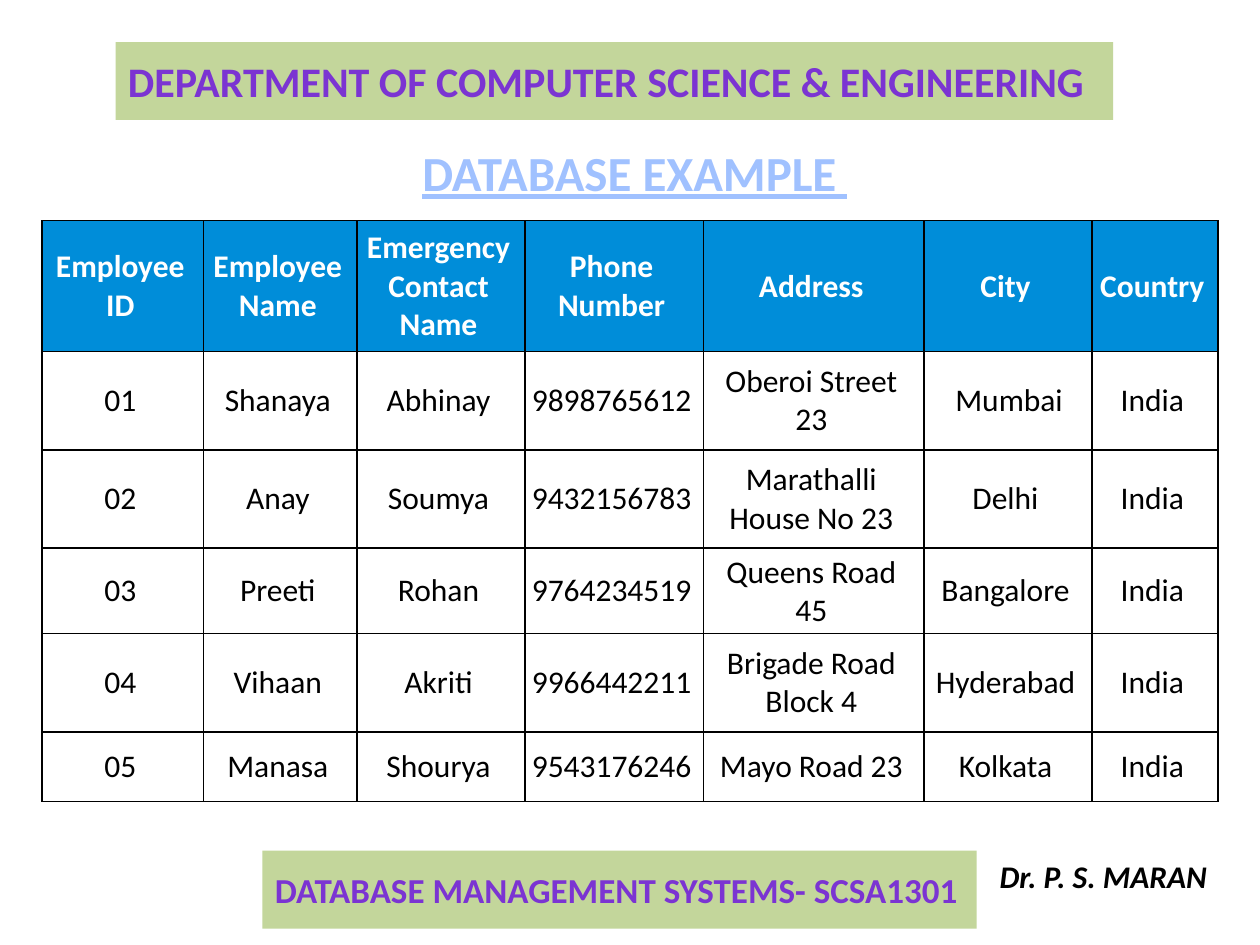
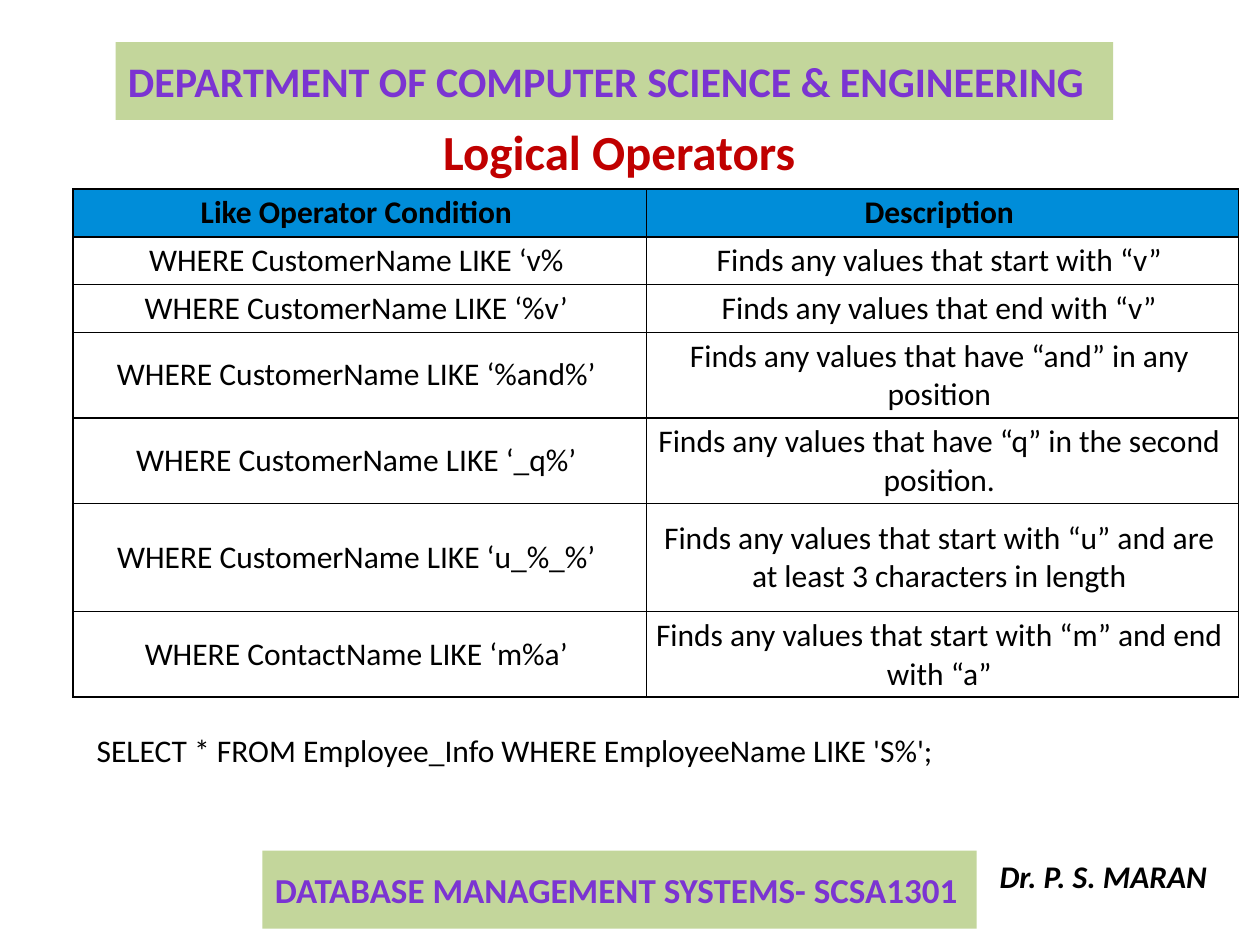
from dataclasses import dataclass
from typing import Any

from lxml.etree import SubElement
from pptx import Presentation
from pptx.dml.color import RGBColor
from pptx.enum.shapes import MSO_SHAPE as Preset
from pptx.enum.text import MSO_ANCHOR as Anchor
from pptx.enum.text import MSO_AUTO_SIZE as AutoSize
from pptx.enum.text import PP_ALIGN as Align
from pptx.oxml.ns import qn
from pptx.slide import Slide
from pptx.text.text import TextFrame
from pptx.util import Cm, Pt

# Shared look
FONT = "Calibri"
BLACK, WHITE, RED = "000000", "FFFFFF", "C00000"
BAND_GREEN, HEADER_BLUE = "C3D69B", "008DD9"
TITLE_ONLY = 5


@dataclass(frozen=True)
class Gradient:
    stops: tuple[tuple[int, str], ...]
    outline: str
    outline_width: float


PURPLE = Gradient(((0, "3D1B67"), (43, "7B34D2"), (48, "7330C4"), (100, "3D1B67")),
                  "5E457C", 0.71)
ICE_BLUE = Gradient(((0, "BFD3F9"), (9, "A0C1FF"), (50, "003D85"), (79, "A0C1FF"),
                     (100, "BFD3F9")), "467AB8", 0.83)


@dataclass(frozen=True)
class Frame:
    """Left, top, width and height in centimetres."""
    left: float
    top: float
    width: float
    height: float

    def lengths(self) -> tuple[Cm, ...]:
        return Cm(self.left), Cm(self.top), Cm(self.width), Cm(self.height)


@dataclass(frozen=True)
class Label:
    text: str
    frame: Frame
    size: float
    paint: str | Gradient = BLACK
    bold: bool = False
    italic: bool = False
    underline: bool = False
    wrap: bool = False


@dataclass(frozen=True)
class Grid:
    left: float
    top: float
    columns: tuple[float, ...]
    heights: tuple[float, ...]
    rows: tuple[tuple[str, ...], ...]
    header_color: str
    right_margin: float


BANDS = (
    Label("DATABASE MANAGEMENT SYSTEMS- SCSA1301", Frame(5.29, 17.15, 14.4, 1.57),
          20, PURPLE, bold=True),
    Label("DEPARTMENT OF COMPUTER SCIENCE & ENGINEERING", Frame(2.33, 0.85, 20.11, 1.57),
          24, PURPLE, bold=True),
)
AUTHOR = Label("Dr. P. S. MARAN", Frame(19.9, 17.15, 4.76, 1.03), 18, bold=True, italic=True)

# Page contents
EXAMPLE_TITLE = Label("DATABASE EXAMPLE ", Frame(8.26, 2.75, 9.19, 1.45), 28, ICE_BLUE,
                      bold=True, underline=True)
EMPLOYEES = Grid(
    0.85, 4.45, (3.25, 3.1, 3.38, 3.6, 4.45, 3.38, 2.54),
    (2.64, 1.98, 1.98, 1.4, 1.98, 1.4),
    (
        ("Employee\nID", "Employee\nName", "Emergency Contact\nName", "Phone\nNumber",
         "Address", "City", "Country"),
        ("01", "Shanaya", "Abhinay", "9898765612", "Oberoi Street 23", " Mumbai", "India"),
        ("02", "Anay", "Soumya", "9432156783", "Marathalli House No 23", "Delhi", "India"),
        ("03", "Preeti", "Rohan", "9764234519", "Queens Road 45", "Bangalore", "India"),
        ("04", "Vihaan", "Akriti", "9966442211", "Brigade Road Block 4", "Hyderabad", "India"),
        ("05", "Manasa", "Shourya", "9543176246", "Mayo Road 23", "Kolkata", "India"),
    ),
    WHITE, 0.2,
)
OPERATORS_TITLE = Label("Logical Operators", Frame(8.68, 2.33, 7.7, 1.45), 28, RED, bold=True)
LIKE_CONDITIONS = Grid(
    1.47, 3.81, (11.56, 11.94), (0.87, 0.87, 0.87, 1.53, 1.53, 2.18, 1.53),
    (
        ("Like Operator Condition", "Description"),
        ("WHERE CustomerName LIKE ‘v%", "Finds any values that start with “v”"),
        ("WHERE CustomerName LIKE ‘%v’", "Finds any values that end with “v”"),
        ("WHERE CustomerName LIKE ‘%and%’",
         "Finds any values that have “and” in any position"),
        ("WHERE CustomerName LIKE ‘_q%’",
         "Finds any values that have “q” in the second position."),
        ("WHERE CustomerName LIKE ‘u_%_%’",
         "Finds any values that start with “u” and are at least 3 characters in length"),
        ("WHERE ContactName LIKE ‘m%a’",
         "Finds any values that start with “m” and end with “a”"),
    ),
    BLACK, 0.23,
)
QUERY = Label("SELECT * FROM Employee_Info WHERE EmployeeName LIKE 'S%';",
              Frame(1.7, 14.61, 21.17, 1.8), 18, wrap=True)


# Formatting helpers
def color(value: str) -> RGBColor:
    return RGBColor.from_string(value)


def apply_format(target: Any, values: dict[str, Any]) -> None:
    for name, value in values.items():
        setattr(target, name, value)


def add_solid(parent: Any, value: str) -> None:
    SubElement(SubElement(parent, qn("a:solidFill")), qn("a:srgbClr"), val=value)


def paint_gradient(span: Any, gradient: Gradient) -> None:
    props = span._r.get_or_add_rPr()
    outline = SubElement(props, qn("a:ln"), w=str(Pt(gradient.outline_width)))
    add_solid(outline, gradient.outline)
    fill = SubElement(props, qn("a:gradFill"))
    stops = SubElement(fill, qn("a:gsLst"))
    for position, value in gradient.stops:
        stop = SubElement(stops, qn("a:gs"), pos=str(position * 1000))
        SubElement(stop, qn("a:srgbClr"), val=value)
    SubElement(fill, qn("a:lin"), ang=str(90 * 60000), scaled="0")


def write_label(text_frame: TextFrame, label: Label) -> None:
    para = text_frame.paragraphs[0]
    para.alignment = Align.LEFT
    span = para.add_run()
    span.text = label.text
    if isinstance(label.paint, Gradient):
        paint_gradient(span, label.paint)
    else:
        span.font.color.rgb = color(label.paint)
    apply_format(span.font, {"name": FONT, "size": Pt(label.size), "bold": label.bold,
                             "italic": label.italic, "underline": label.underline})


def fit_label(text_frame: TextFrame, label: Label) -> None:
    apply_format(text_frame, {"word_wrap": label.wrap, "vertical_anchor": Anchor.TOP,
                              "auto_size": AutoSize.SHAPE_TO_FIT_TEXT})
    write_label(text_frame, label)


# Page parts
def add_band(page: Slide, label: Label) -> None:
    box = page.shapes.add_shape(Preset.RECTANGLE, *label.frame.lengths())
    box.shadow.inherit = False
    box.fill.solid()
    box.fill.fore_color.rgb = color(BAND_GREEN)
    box.line.fill.background()
    box.text_frame.vertical_anchor = Anchor.MIDDLE
    write_label(box.text_frame, label)


def add_label(page: Slide, label: Label) -> None:
    fit_label(page.shapes.add_textbox(*label.frame.lengths()).text_frame, label)


def place_title(page: Slide, label: Label) -> None:
    title = page.shapes.title
    apply_format(title, dict(zip(("left", "top", "width", "height"), label.frame.lengths())))
    fit_label(title.text_frame, label)


def add_borders(cell: Any) -> None:
    props = cell._tc.get_or_add_tcPr()
    for side in ("a:lnL", "a:lnR", "a:lnT", "a:lnB"):
        add_solid(SubElement(props, qn(side), w=str(Pt(1))), BLACK)


def format_cell(cell: Any, text: str, grid: Grid, is_header: bool) -> None:
    cell.text = text
    apply_format(cell, {"vertical_anchor": Anchor.MIDDLE, "margin_left": Cm(0.1),
                        "margin_top": Cm(0.1), "margin_bottom": Cm(0.1),
                        "margin_right": Cm(grid.right_margin)})
    add_borders(cell)
    if is_header:
        cell.fill.solid()
        cell.fill.fore_color.rgb = color(HEADER_BLUE)
    else:
        cell.fill.background()
    for para in cell.text_frame.paragraphs:
        para.alignment = Align.CENTER
        for span in para.runs:
            apply_format(span.font, {"name": FONT, "size": Pt(18), "bold": is_header})
            span.font.color.rgb = color(grid.header_color if is_header else BLACK)


def add_grid(page: Slide, grid: Grid) -> None:
    frame = Frame(grid.left, grid.top, sum(grid.columns), sum(grid.heights))
    table = page.shapes.add_table(len(grid.rows), len(grid.columns), *frame.lengths()).table
    apply_format(table, {"first_row": False, "horz_banding": False})
    for column, width in zip(table.columns, grid.columns):
        column.width = Cm(width)
    for row, height in zip(table.rows, grid.heights):
        row.height = Cm(height)
    for row_index, texts in enumerate(grid.rows):
        for column_index, text in enumerate(texts):
            format_cell(table.cell(row_index, column_index), text, grid, row_index == 0)


def add_page(deck: Any, title: Label, grid: Grid) -> Slide:
    page = deck.slides.add_slide(deck.slide_layouts[TITLE_ONLY])
    for band in BANDS:
        add_band(page, band)
    add_label(page, AUTHOR)
    place_title(page, title)
    add_grid(page, grid)
    return page


def main() -> None:
    deck = Presentation()
    apply_format(deck, {"slide_width": Cm(25.4), "slide_height": Cm(19.05)})
    add_page(deck, EXAMPLE_TITLE, EMPLOYEES)
    operators_page = add_page(deck, OPERATORS_TITLE, LIKE_CONDITIONS)
    add_label(operators_page, QUERY)
    deck.save("out.pptx")


if __name__ == "__main__":
    main()
